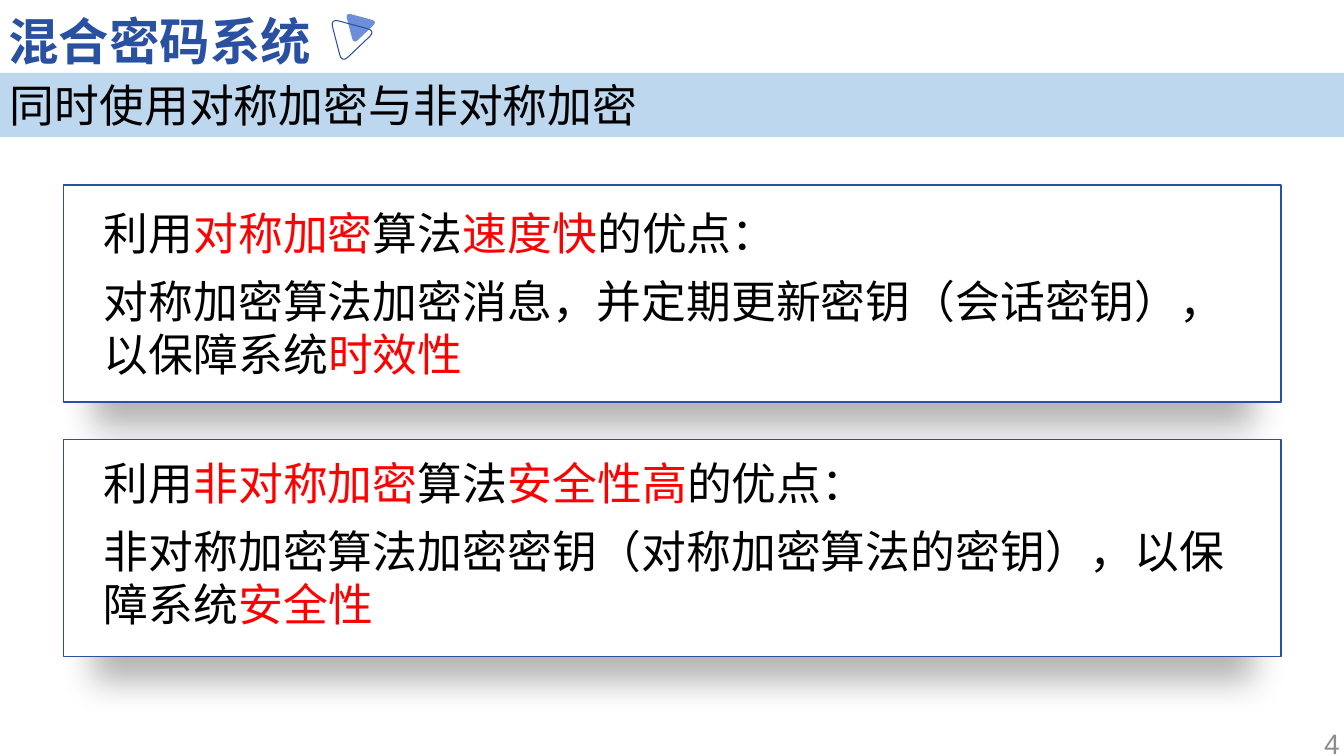
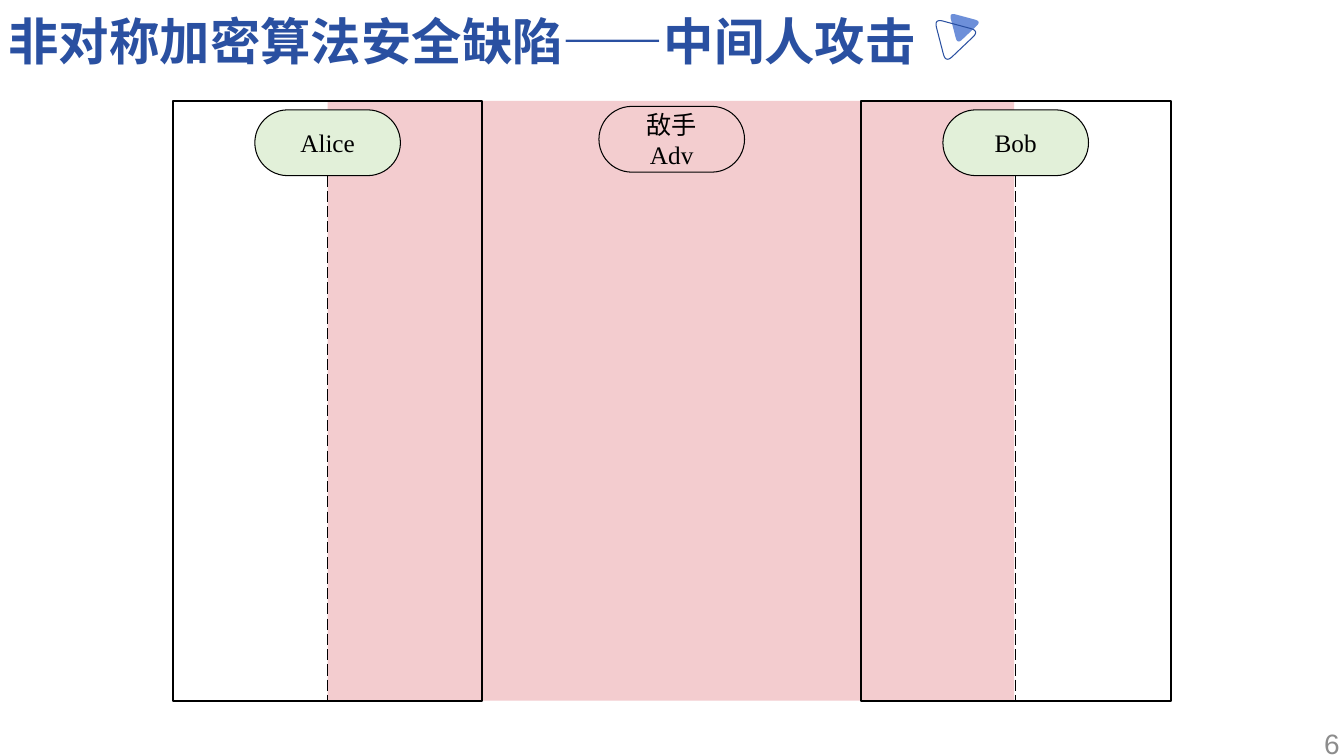
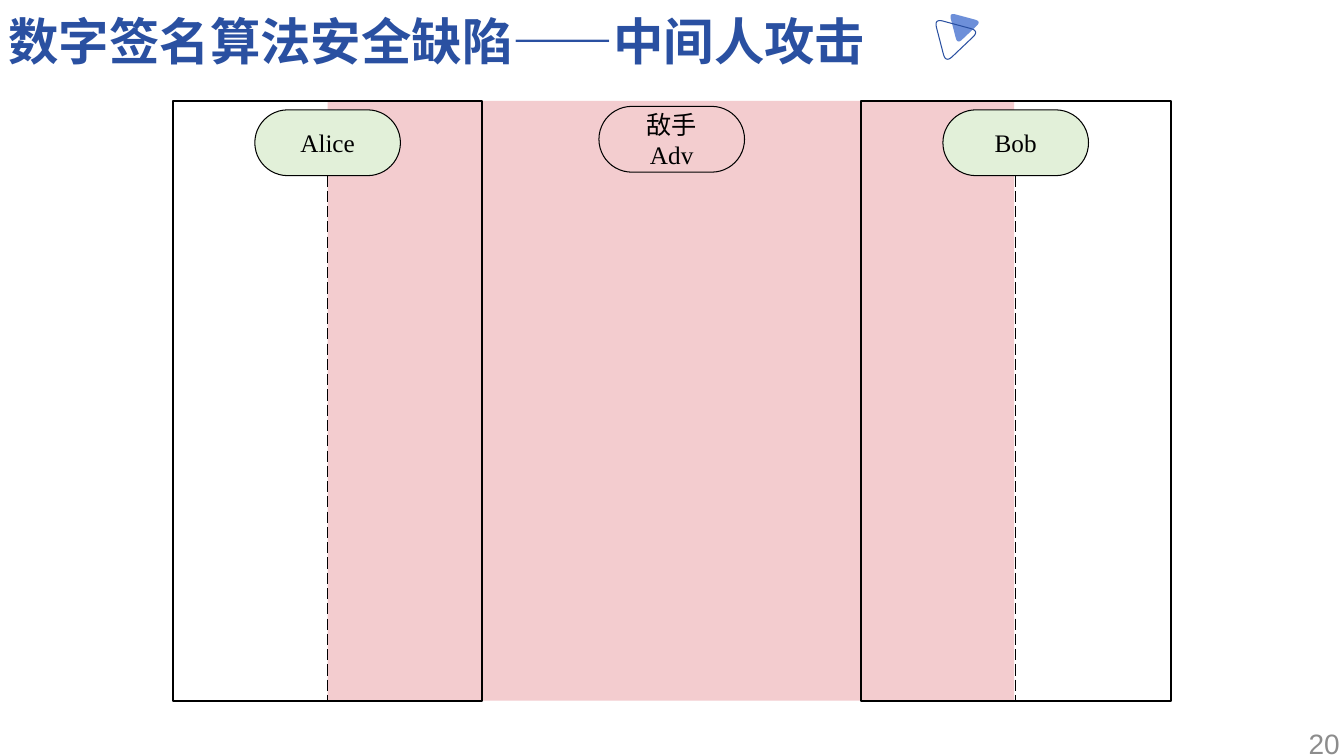
import pptx
import pptx.dml.color
import pptx.enum.dml
import pptx.enum.lang
import pptx.enum.shapes
import pptx.enum.text
import pptx.oxml
import pptx.oxml.ns
import pptx.util

Pt = pptx.util.Pt
Shapes = pptx.enum.shapes.MSO_SHAPE
Align = pptx.enum.text.PP_ALIGN
Anchor = pptx.enum.text.MSO_ANCHOR

WIDTH, HEIGHT = 960, 540
BLUE, LIGHT_BLUE, BAND = "2A50A1", "6D8FD9", "BDD7EE"
BLACK, WHITE, RED, GREY = "000000", "FFFFFF", "FF0000", "8C8C8C"
PINK, PALE_PINK, GREEN = "F0C0C3", "F3CDCF", "E2F0D9"
SANS, SERIF = "Arial", "Times New Roman"


def color(value):
    return pptx.dml.color.RGBColor.from_string(value)


def drawing_xml(tag, attributes="", content=""):
    namespace = pptx.oxml.ns.nsdecls("a")
    return pptx.oxml.parse_xml(f"<a:{tag} {namespace} {attributes}>{content}</a:{tag}>")


def rounded_outline(corners, cut):
    """Points of a polygon whose corners are curved from `cut` before to `cut` after."""
    points = []
    for index, (x, y) in enumerate(corners):
        ends = []
        for other_x, other_y in (corners[index - 1], corners[(index + 1) % len(corners)]):
            length = ((other_x - x) ** 2 + (other_y - y) ** 2) ** 0.5
            ends.append((x + (other_x - x) * cut / length, y + (other_y - y) * cut / length))
        (start_x, start_y), (end_x, end_y) = ends
        for step in range(9):
            t = step / 8
            a, b, c = (1 - t) ** 2, 2 * t * (1 - t), t ** 2
            points.append((a * start_x + b * x + c * end_x, a * start_y + b * y + c * end_y))
    return points


class Deck:
    def __init__(self):
        self.presentation = pptx.Presentation()
        self.presentation.slide_width = Pt(WIDTH)
        self.presentation.slide_height = Pt(HEIGHT)
        self.slide = None

    def new_slide(self, title, number, ornament_left):
        layout = self.presentation.slide_layouts.get_by_name("Title Only")
        self.slide = self.presentation.slides.add_slide(layout)
        shape = self.slide.shapes.title
        place = {"left": 6, "top": 7, "width": 800, "height": 36}
        for name, value in place.items():
            setattr(shape, name, Pt(value))
        self.set_text(shape, [title], 36, SANS, BLUE, bold=True)
        page = self.slide.shapes.add_textbox(Pt(744), Pt(522), Pt(213), Pt(18))
        self.set_text(page, [number], 20, SANS, GREY, Align.RIGHT, Anchor.MIDDLE)
        self.ornament(ornament_left, 14.8)

    def set_text(self, shape, paragraphs, size, font, ink, align=Align.LEFT,
                 anchor=Anchor.TOP, insets=(0, 0, 0, 0), gap=0, bold=False):
        """Fill a shape; a paragraph is a string or a list of (text, color) runs."""
        frame = shape.text_frame
        frame.auto_size = pptx.enum.text.MSO_AUTO_SIZE.NONE
        frame.word_wrap = True
        frame.vertical_anchor = anchor
        for side, inset in zip(("left", "top", "right", "bottom"), insets):
            setattr(frame, f"margin_{side}", Pt(inset))
        for index, content in enumerate(paragraphs):
            paragraph = frame.add_paragraph() if index else frame.paragraphs[0]
            paragraph.alignment = align
            paragraph.space_before = Pt(gap if index else 0)
            runs = [(content, ink)] if isinstance(content, str) else content
            for text, run_color in runs:
                run = paragraph.add_run()
                run.text = text
                style = {"name": font, "size": Pt(size), "bold": bold,
                         "language_id": pptx.enum.lang.MSO_LANGUAGE_ID.SIMPLIFIED_CHINESE}
                for name, value in style.items():
                    setattr(run.font, name, value)
                run.font.color.rgb = color(run_color)

    def paint(self, shape, fill=None, line=None, weight=1):
        shape.shadow.inherit = False
        if fill:
            shape.fill.solid()
            shape.fill.fore_color.rgb = color(fill)
        else:
            shape.fill.background()
        if line:
            shape.line.color.rgb = color(line)
            shape.line.width = Pt(weight)
        else:
            shape.line.fill.background()

    def box(self, left, top, width, height, fill=None, line=None, weight=1,
            kind=Shapes.RECTANGLE):
        shape = self.slide.shapes.add_shape(kind, Pt(left), Pt(top), Pt(width), Pt(height))
        self.paint(shape, fill, line, weight)
        return shape

    def ornament(self, left, top):
        """Small filled triangle behind a larger outlined one."""
        corners = [(7, 30.2), (-1.2, -1.4), (31.1, 7.3)]
        small = {"fill": LIGHT_BLUE}
        large = {"line": BLUE, "weight": 0.75}
        for scale, shift_x, shift_y, style in ((0.71, 10.4, -4.7, small), (1, 0, 0, large)):
            points = [(Pt(left + shift_x + x * scale), Pt(top + shift_y + y * scale))
                      for x, y in rounded_outline(corners, 6.5)]
            builder = self.slide.shapes.build_freeform(*points[0])
            builder.add_line_segments(points[1:], close=True)
            self.paint(builder.convert_to_shape(), **style)

    def band(self, text):
        shape = self.box(0, 52, WIDTH, 46, BAND)
        self.set_text(shape, [text], 32, SERIF, BLACK, insets=(7.2, 3.6, 7.2, 3.6))

    def card(self, top, text_inset, paragraphs):
        shape = self.box(45.4, top, 869.6, 155, WHITE, BLUE)
        effects = shape._element.spPr.find(pptx.oxml.ns.qn("a:effectLst"))
        effects.append(drawing_xml(
            "outerShdw",
            f'blurRad="{Pt(25)}" dist="{Pt(16)}" dir="5400000" sx="95000" algn="t" rotWithShape="0"',
            f'<a:srgbClr val="{BLACK}"><a:alpha val="30000"/></a:srgbClr>'))
        self.set_text(shape, paragraphs, 32, SANS, BLACK,
                      insets=(28.8, text_inset, 28.8, 0), gap=10)

    def pill(self, center, top, lines, fill):
        shape = self.box(center - 52, top, 104, 47, fill, BLACK, 0.75, Shapes.ROUNDED_RECTANGLE)
        shape.adjustments[0] = 0.5
        self.set_text(shape, lines, 18, SERIF, BLACK, Align.CENTER, Anchor.MIDDLE)

    def lifeline(self, x, top, bottom):
        connector = self.slide.shapes.add_connector(
            pptx.enum.shapes.MSO_CONNECTOR.STRAIGHT, Pt(x), Pt(top), Pt(x), Pt(bottom))
        connector.line.color.rgb = color(BLACK)
        connector.line.width = Pt(1)
        connector.line.dash_style = pptx.enum.dml.MSO_LINE.LONG_DASH
        connector._element.spPr.append(drawing_xml("effectLst"))


def add_attack_slide(deck, title, number):
    """Alice and Bob with the adversary's zone between them."""
    deck.new_slide(title, number, 668.5)
    top, height = 72, 428.5
    parties = (("Alice", 234, 123.3), ("Bob", 725.5, 615))
    zone = deck.box(234, top, 490.5, height, PINK)
    fill_color = zone._element.spPr.find(".//" + pptx.oxml.ns.qn("a:srgbClr"))
    fill_color.append(drawing_xml("alpha", 'val="80000"'))
    for _, _, left in parties:
        deck.box(left, top, 221.3, height, line=BLACK, weight=1.5)
    deck.pill(479.8, 76, ["敌手", "Adv"], PALE_PINK)
    for name, center, _ in parties:
        deck.lifeline(center, 125.4, top + height)
        deck.pill(center, 78.5, [name], GREEN)


def main():
    deck = Deck()
    deck.new_slide("混合密码系统", "4", 237.2)
    deck.band("同时使用对称加密与非对称加密")
    cards = (
        (132.3, 14.6, "对称加密", "速度快",
         "对称加密算法加密消息，并定期更新密钥（会话密钥），以保障系统", "时效性"),
        (313.8, 11.6, "非对称加密", "安全性高",
         "非对称加密算法加密密钥（对称加密算法的密钥），以保障系统", "安全性"),
    )
    for top, inset, method, strength, usage, goal in cards:
        deck.card(top, inset, [
            [("利用", BLACK), (method, RED), ("算法", BLACK), (strength, RED), ("的优点：", BLACK)],
            [(usage, BLACK), (goal, RED)],
        ])
    add_attack_slide(deck, "非对称加密算法安全缺陷——中间人攻击", "6")
    add_attack_slide(deck, "数字签名算法安全缺陷——中间人攻击", "20")
    deck.presentation.save("out.pptx")


if __name__ == "__main__":
    main()
